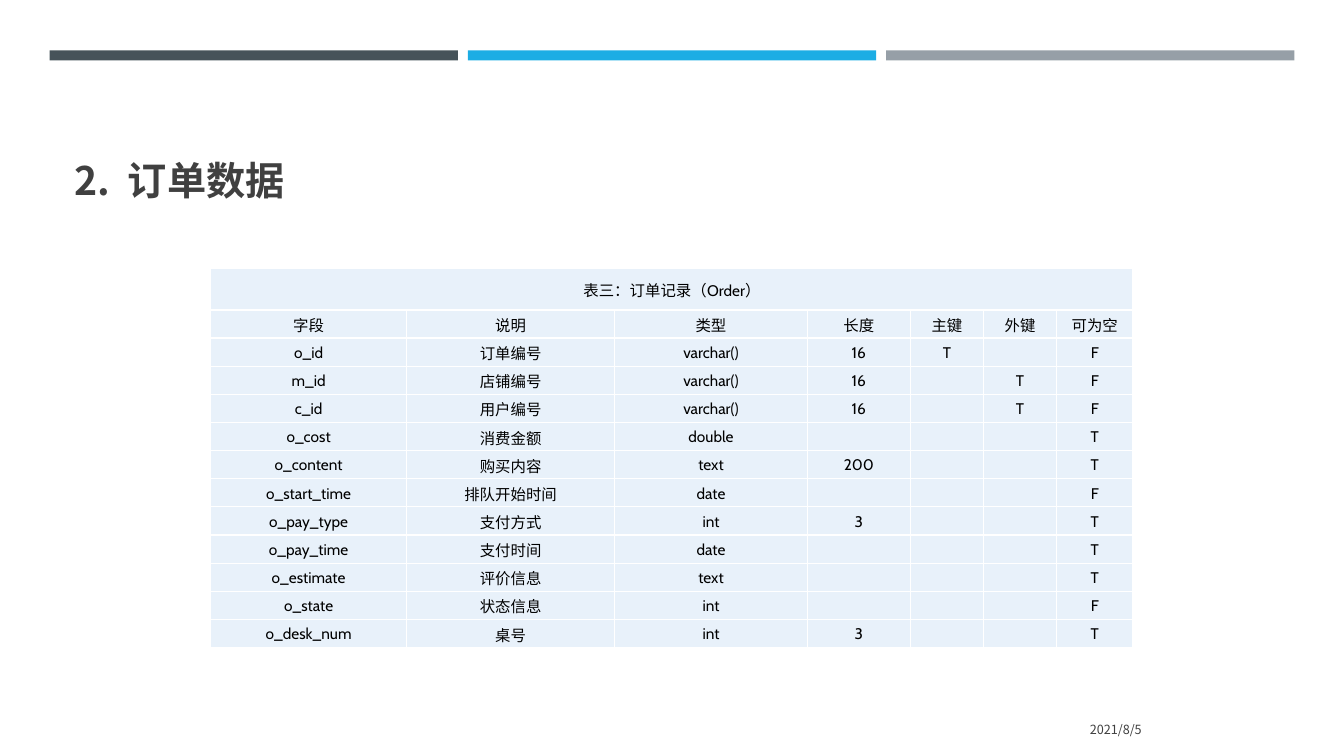
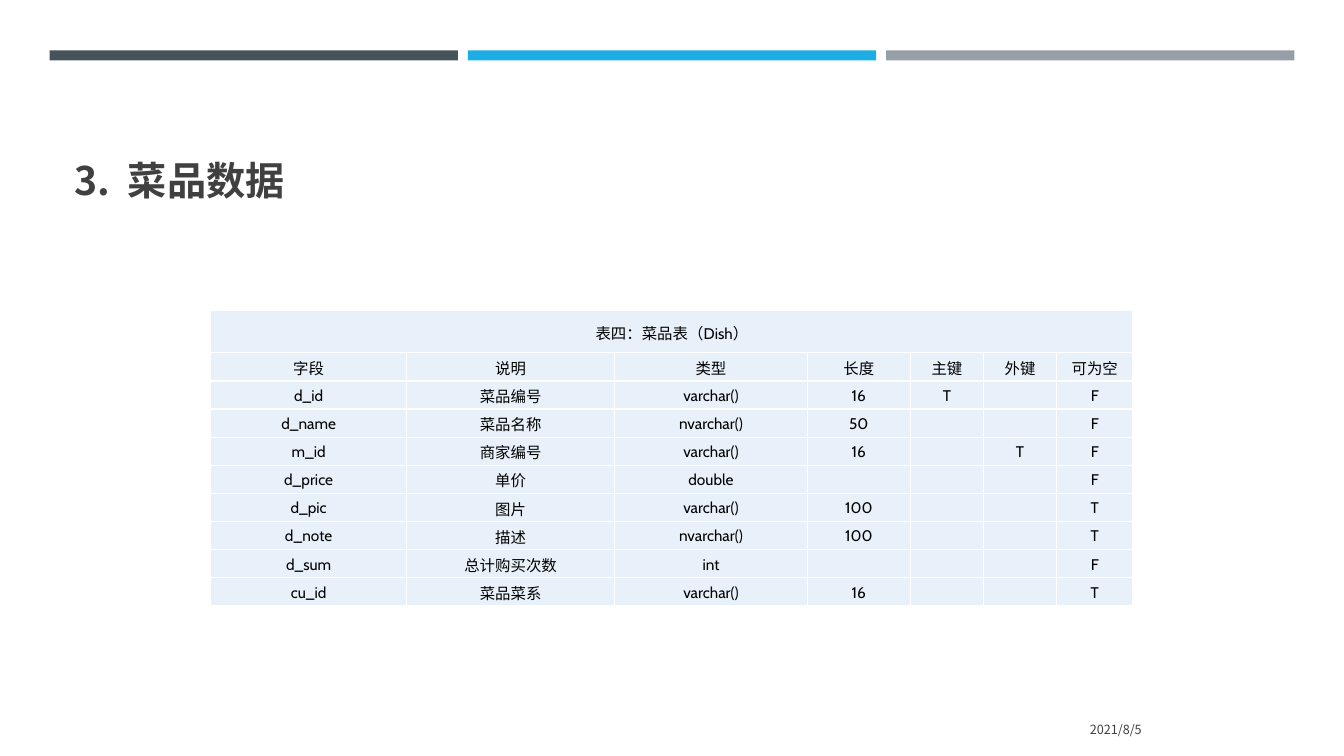
import lxml.etree
import pptx
import pptx.dml.color
import pptx.enum.shapes
import pptx.enum.text
import pptx.oxml.ns
import pptx.util

ALIGN = pptx.enum.text.PP_ALIGN
ANCHOR = pptx.enum.text.MSO_ANCHOR
CELL = pptx.util.Pt(6)
COLUMNS, ROWS = 160, 90

HEADER = ("字段", "说明", "类型", "长度", "主键", "外键", "可为空")
ORDER = (
    ("o_id", "订单编号", "varchar()", "16", "T", "", "F"),
    ("m_id", "店铺编号", "varchar()", "16", "", "T", "F"),
    ("c_id", "用户编号", "varchar()", "16", "", "T", "F"),
    ("o_cost", "消费金额", "double", "", "", "", "T"),
    ("o_content", "购买内容", "text", "200", "", "", "T"),
    ("o_start_time", "排队开始时间", "date", "", "", "", "F"),
    ("o_pay_type", "支付方式", "int", "3", "", "", "T"),
    ("o_pay_time", "支付时间", "date", "", "", "", "T"),
    ("o_estimate", "评价信息", "text", "", "", "", "T"),
    ("o_state", "状态信息", "int", "", "", "", "F"),
    ("o_desk_num", "桌号", "int", "3", "", "", "T"),
)
DISH = (
    ("d_id", "菜品编号", "varchar()", "16", "T", "", "F"),
    ("d_name", "菜品名称", "nvarchar()", "50", "", "", "F"),
    ("m_id", "商家编号", "varchar()", "16", "", "T", "F"),
    ("d_price", "单价", "double", "", "", "", "F"),
    ("d_pic", "图片", "varchar()", "100", "", "", "T"),
    ("d_note", "描述", "nvarchar()", "100", "", "", "T"),
    ("d_sum", "总计购买次数", "int", "", "", "", "F"),
    ("cu_id", "菜品菜系", "varchar()", "16", "", "", "T"),
)
SLIDES = (
    ("2.", "订单数据", "表三：订单记录（Order）", ORDER, 31.9),
    ("3.", "菜品数据", "表四：菜品表（Dish）", DISH, 37),
)


def rgb(value):
    """Turn a hex string into a colour."""
    return pptx.dml.color.RGBColor.from_string(value)


def grid(*cells):
    """Turn grid columns or rows into lengths."""
    return [pptx.util.Emu(round(n * CELL)) for n in cells]


def assign(target, values):
    """Set attributes from a dict of format values."""
    for name, value in values.items():
        setattr(target, name, value)


def sub(parent, tag, **attrs):
    """Append a DrawingML element."""
    return lxml.etree.SubElement(parent, pptx.oxml.ns.qn(tag), attrs)


class Deck:
    """Hold the style and the current slide."""

    CJK = "Noto Sans CJK SC"
    TITLE = {"size": pptx.util.Pt(28), "name": CJK, "bold": True}
    DATE = {"size": pptx.util.Pt(9), "name": CJK}
    TABLE = {"size": pptx.util.Pt(11), "name": "Cabin"}
    CELL_FORMAT = {
        "margin_left": pptx.util.Pt(1),
        "margin_top": pptx.util.Pt(1),
        "margin_right": pptx.util.Pt(1),
        "margin_bottom": 0,
        "vertical_anchor": ANCHOR.MIDDLE,
    }
    TEXT, INK, PALE, WHITE = "404040", "000000", "E8F1FA", "FFFFFF"
    BANDS = ("465359", "1CADE4", "969FA7")
    WIDTHS = (23.3, 24.8, 22.9, 12.3, 8.7, 8.7, 9.1)
    CAPTION_ROW, ROW = 5, 3.35

    def __init__(self):
        """Open a deck and size it to the grid."""
        self.prs = pptx.Presentation()
        self.prs.slide_width, self.prs.slide_height = grid(COLUMNS, ROWS)
        self.layout = self.prs.slide_layouts[5]
        self.s = None

    def slide(self):
        """Start a slide; the first one also fills the shared layout."""
        self.s = self.prs.slides.add_slide(self.layout)
        if len(self.prs.slides) == 1:
            self.bands()

    def bands(self):
        """Put the three top bands on the layout."""
        for i, color in enumerate(self.BANDS):
            sp = self.s.shapes.add_shape(
                pptx.enum.shapes.MSO_SHAPE.RECTANGLE, *grid(5.9 + 49.8 * i, 6, 48.6, 1.2))
            sp.shadow.inherit = False
            sp.fill.solid()
            sp.fill.fore_color.rgb = rgb(color)
            sp.line.fill.background()
            sp.element.nvSpPr.cNvPr.set("id", str(20 + i))
            self.layout.shapes.element.append(sp.element)

    def run(self, p, text, style, color):
        """Add a run with Latin and East Asian fonts."""
        r = p.add_run()
        r.text = text
        assign(r.font, style)
        r.font.color.rgb = rgb(color)
        sub(r.font._element, "a:ea", typeface=self.CJK)
        return r

    def title(self, number, text):
        """Fill the title, with a widened space after the number."""
        sp = self.s.shapes.title
        assign(sp, dict(zip(("left", "top", "width", "height"), grid(7.7, 9.2, 144.7, 15.6))))
        tf = sp.text_frame
        tf.vertical_anchor = ANCHOR.BOTTOM
        p = tf.paragraphs[0]
        p.alignment = ALIGN.LEFT
        self.run(p, number, self.TITLE, self.TEXT)
        space = self.run(p, " ", self.TITLE, self.TEXT)
        space.font._element.set("spc", "600")
        self.run(p, text, self.TITLE, self.TEXT)

    def date(self, text):
        """Add the date at the foot."""
        tf = self.s.shapes.add_textbox(*grid(99.8, 84.4, 37.3, 4.8)).text_frame
        assign(tf, {"word_wrap": True, "vertical_anchor": ANCHOR.MIDDLE})
        p = tf.paragraphs[0]
        p.alignment = ALIGN.RIGHT
        self.run(p, text, self.DATE, self.TEXT)

    def cell(self, cell, text):
        """Fill, border and write one table cell."""
        assign(cell, self.CELL_FORMAT)
        for side in ("a:lnL", "a:lnR", "a:lnT", "a:lnB"):
            ln = sub(cell._tc.get_or_add_tcPr(), side, w=str(pptx.util.Pt(1)))
            sub(sub(ln, "a:solidFill"), "a:srgbClr", val=self.WHITE)
        cell.fill.solid()
        cell.fill.fore_color.rgb = rgb(self.PALE)
        p = cell.text_frame.paragraphs[0]
        p.alignment = ALIGN.CENTER
        if text:
            self.run(p, text, self.TABLE, self.INK)
        else:
            sub(p._p, "a:endParaRPr", sz="1100")

    def table(self, caption, records, top):
        """Add a field table under a merged caption row."""
        blanks = ("",) * (len(HEADER) - 1)
        rows = ((caption, *blanks), HEADER, *records)
        heights = [self.CAPTION_ROW] + [self.ROW] * (len(rows) - 1)
        table = self.s.shapes.add_table(
            len(rows), len(HEADER), *grid(25.1, top, sum(self.WIDTHS), sum(heights))).table
        assign(table, {"first_row": False, "horz_banding": False})
        for column, width in zip(table.columns, grid(*self.WIDTHS)):
            column.width = width
        for row, height, texts in zip(table.rows, grid(*heights), rows):
            row.height = height
            for cell, text in zip(row.cells, texts):
                self.cell(cell, text)
        table.cell(0, 0).merge(table.cell(0, len(HEADER) - 1))


def main():
    """Build the deck."""
    deck = Deck()
    for number, title, caption, records, top in SLIDES:
        deck.slide()
        deck.title(number, title)
        deck.table(caption, records, top)
        deck.date("2021/8/5")
    deck.prs.save("out.pptx")


if __name__ == "__main__":
    main()
